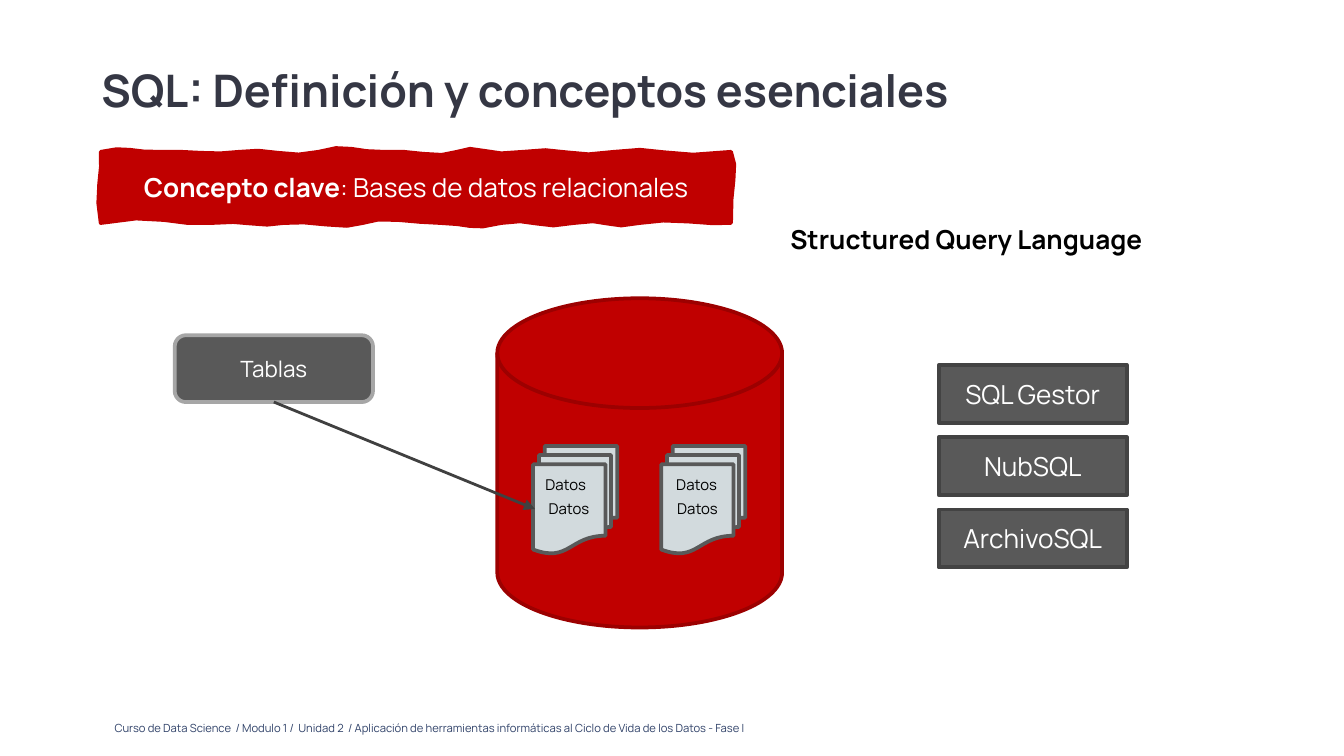
"""Build a slide on SQL: its definition and essential concepts."""
from dataclasses import dataclass

from lxml.etree import SubElement
from pptx import Presentation
from pptx.dml.color import RGBColor
from pptx.enum.shapes import MSO_CONNECTOR, MSO_SHAPE
from pptx.enum.text import MSO_ANCHOR, MSO_AUTO_SIZE, PP_ALIGN
from pptx.oxml.ns import qn
from pptx.util import Pt


@dataclass(frozen=True)
class Theme:
    font: str = "Manrope"
    title: str = "353744"
    footer: str = "304269"
    red: str = "C00000"
    dark_red: str = "9C0000"
    paper: str = "D2DADD"
    gray: str = "595959"
    light_gray: str = "A6A6A6"
    engine_border: str = "434343"
    arrow: str = "404040"
    white: str = "FFFFFF"
    black: str = "000000"
    title_size: float = 24
    heading_size: float = 14
    label_size: float = 12
    data_size: float = 8
    footer_size: float = 6


theme = Theme()


def paint(shape, fill, line):
    shape.shadow.inherit = False
    shape.fill.solid()
    shape.fill.fore_color.rgb = RGBColor.from_string(fill)
    shape.line.color.rgb = RGBColor.from_string(line)
    shape.line.width = Pt(2)


def write(shape, runs, size, color, align=PP_ALIGN.CENTER, **frame_format):
    frame = shape.text_frame
    frame_values = {"word_wrap": True, "vertical_anchor": MSO_ANCHOR.MIDDLE, **frame_format}
    for name, value in frame_values.items():
        setattr(frame, name, value)
    paragraph = frame.paragraphs[0]
    paragraph.alignment = align
    for text, bold in runs:
        run = paragraph.add_run()
        run.text = text
        font_format = {"name": theme.font, "size": Pt(size), "bold": bold}
        for name, value in font_format.items():
            setattr(run.font, name, value)
        run.font.color.rgb = RGBColor.from_string(color)
    return paragraph


presentation = Presentation()
presentation.slide_width, presentation.slide_height = Pt(720), Pt(405)
slide = presentation.slides.add_slide(presentation.slide_layouts[5])
shapes = slide.shapes

title = shapes.title
title_format = {"left": Pt(54.3), "top": Pt(36.7), "width": Pt(535.7), "height": Pt(31)}
for name, value in title_format.items():
    setattr(title, name, value)
title_paragraph = write(
    title, [("SQL: Definición y conceptos esenciales", True)], theme.title_size, theme.title,
    PP_ALIGN.LEFT, vertical_anchor=MSO_ANCHOR.TOP, auto_size=MSO_AUTO_SIZE.NONE,
    margin_left=0, margin_right=0, margin_top=0, margin_bottom=0)
title_paragraph.line_spacing = 0.9

footer = shapes.add_textbox(Pt(54.3), Pt(380.2), Pt(485.3), Pt(17.3))
footer_text = ("Curso de Data Science  / Modulo 1 /  Unidad 2  / Aplicación de herramientas "
               "informáticas al Ciclo de Vida de los Datos - Fase I")
write(footer, [(footer_text, False)], theme.footer_size, theme.footer, PP_ALIGN.LEFT,
      vertical_anchor=MSO_ANCHOR.TOP, margin_top=Pt(6.5), margin_bottom=0)

x, y = banner_start = (75, 113)
banner_curves = [
    (93, 108, 100, 114, 120, 113), (140, 112, 160, 116, 178, 113),
    (196, 109, 218, 119, 237, 113), (256, 106, 267, 114, 286, 113),
    (305, 111, 327, 119, 340, 113), (353, 106, 365, 118, 389, 113),
    (413, 108, 429, 119, 457, 113), (485, 107, 500, 120, 544, 113),
    (550, 124, 543, 140, 544, 166), (528, 168, 498, 161, 476, 166),
    (454, 172, 450, 161, 427, 166), (404, 172, 394, 161, 373, 166),
    (351, 172, 348, 166, 328, 166), (309, 166, 282, 160, 270, 166),
    (258, 172, 229, 163, 211, 166), (194, 170, 182, 163, 157, 166),
    (133, 169, 115, 157, 75, 166), (70, 146, 77, 126, 75, 113)]
steps = 4
vertices = []
for x1, y1, x2, y2, x3, y3 in banner_curves:
    for step in range(1, steps + 1):
        t = step / steps
        u = 1 - t
        weights = (u ** 3, 3 * u * u * t, 3 * u * t * t, t ** 3)
        vertices.append(tuple(72 * sum(weight * value for weight, value in zip(weights, values))
                              for values in ((x, x1, x2, x3), (y, y1, y2, y3))))
    x, y = x3, y3
builder = shapes.build_freeform(72 * banner_start[0], 72 * banner_start[1], scale=Pt(0.01))
builder.add_line_segments(vertices[:-1], close=True)
banner = builder.convert_to_shape()
paint(banner, theme.red, theme.red)
write(banner, [("Concepto clave", True), (": Bases de datos relacionales", False)],
      theme.heading_size, theme.white)

database = shapes.add_shape(MSO_SHAPE.FLOWCHART_MAGNETIC_DISK,
                            Pt(266.4), Pt(159.8), Pt(152.6), Pt(176.4))
paint(database, theme.red, theme.dark_red)

for left in (285.6, 354.2):
    documents = shapes.add_shape(MSO_SHAPE.FLOWCHART_MULTIDOCUMENT,
                                 Pt(left), Pt(239), Pt(45.1), Pt(57.6))
    paint(documents, theme.paper, theme.gray)

for left, top in [(285.1, 251.3), (355.2, 251.3), (286.8, 264.2), (355.7, 264.2)]:
    data_label = shapes.add_textbox(Pt(left), Pt(top), Pt(45.4), Pt(17.3))
    write(data_label, [("Datos", False)], theme.data_size, theme.black, PP_ALIGN.LEFT,
          vertical_anchor=MSO_ANCHOR.TOP, auto_size=MSO_AUTO_SIZE.SHAPE_TO_FIT_TEXT)

tables = shapes.add_shape(MSO_SHAPE.ROUNDED_RECTANGLE, Pt(93.6), Pt(179.6), Pt(106.2), Pt(35.8))
paint(tables, theme.gray, theme.light_gray)
write(tables, [("Tablas", False)], theme.label_size, theme.white)

arrow = shapes.add_connector(MSO_CONNECTOR.STRAIGHT, Pt(146.7), Pt(215.4), Pt(286.6), Pt(272.7))
arrow.begin_connect(tables, 2)
arrow.line.color.rgb = RGBColor.from_string(theme.arrow)
arrow.line.width = Pt(1.5)
SubElement(arrow.line._get_or_add_ln(), qn("a:tailEnd"), type="triangle")
SubElement(arrow._element.spPr, qn("a:effectLst"))

heading = shapes.add_textbox(Pt(416.3), Pt(115.9), Pt(247), Pt(24.5))
write(heading, [("Structured Query Language", True)], theme.heading_size, theme.black,
      PP_ALIGN.LEFT, vertical_anchor=MSO_ANCHOR.TOP, auto_size=MSO_AUTO_SIZE.SHAPE_TO_FIT_TEXT)

for row, engine_name in enumerate(["SQL Gestor", "NubSQL", "ArchivoSQL"]):
    engine = shapes.add_shape(MSO_SHAPE.RECTANGLE,
                              Pt(502.9), Pt(195.6 + 38.7 * row), Pt(100.8), Pt(31))
    paint(engine, theme.gray, theme.engine_border)
    write(engine, [(engine_name, False)], theme.heading_size, theme.white)

presentation.save("out.pptx")
